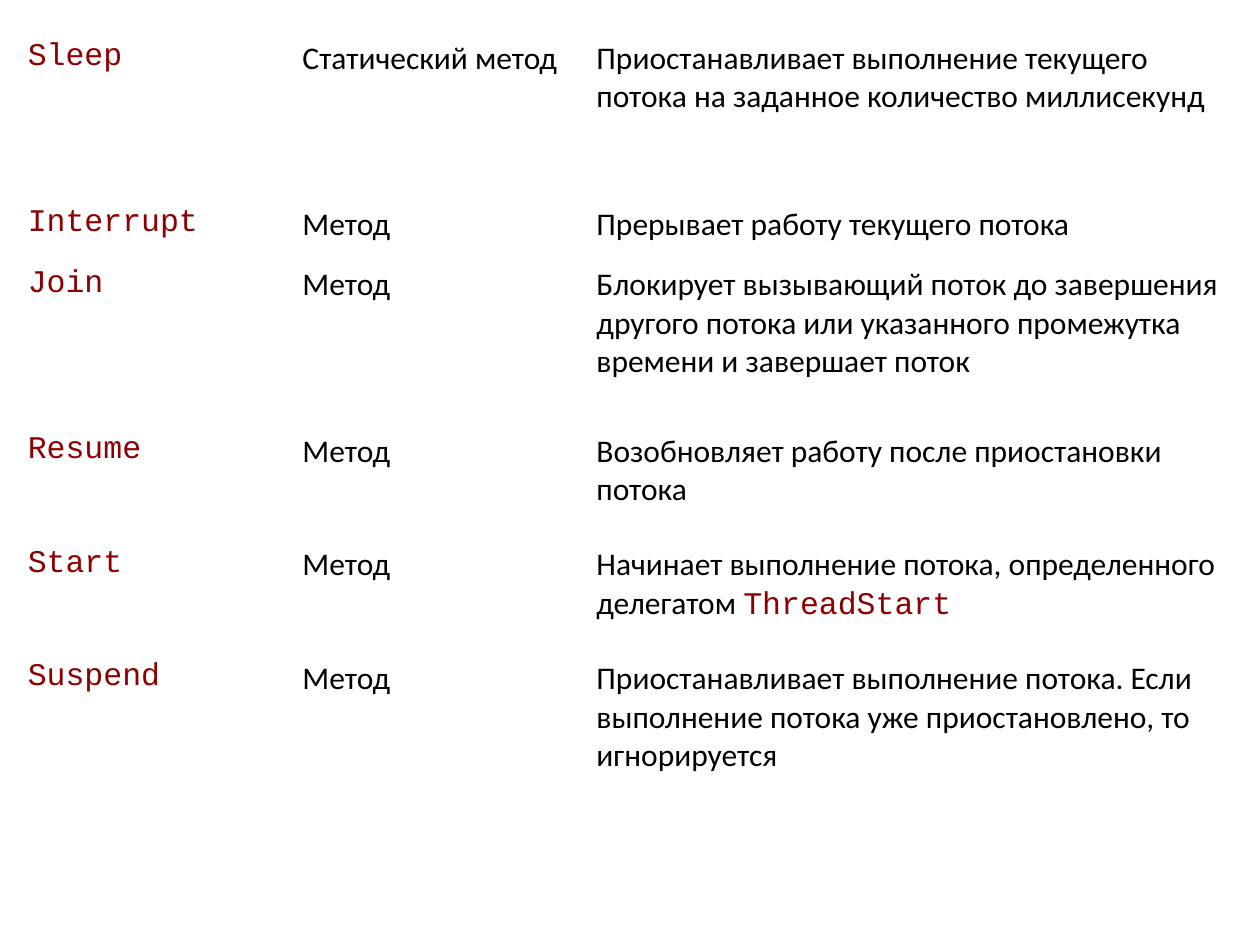
from pptx import Presentation
from pptx import util as u
from pptx.dml.color import RGBColor

Pt = u.Pt
RED = RGBColor(0x8B, 0x00, 0x00)
BLACK = RGBColor(0x00, 0x00, 0x00)
WHITE = RGBColor(0xFF, 0xFF, 0xFF)
CODE = ("Courier New", RED)
BODY = ("Calibri", BLACK)

WIDTHS = [157, 168, 361]
TALL, MID, LOW = 95, 65, 34.5
# Row height, member name, kind, description, code at the end of the description
ROWS = [
    (TALL, "Sleep", "Статический метод",
     "Приостанавливает выполнение текущего потока на заданное количество миллисекунд", ""),
    (LOW, "Interrupt", "Метод", "Прерывает работу текущего потока", ""),
    (TALL, "Join", "Метод",
     "Блокирует вызывающий поток до завершения другого потока "
     "или указанного промежутка времени и завершает поток", ""),
    (MID, "Resume", "Метод", "Возобновляет работу после приостановки потока", ""),
    (MID, "Start", "Метод",
     "Начинает выполнение потока, определенного делегатом ", "ThreadStart"),
    (TALL, "Suspend", "Метод",
     "Приостанавливает выполнение потока. "
     "Если выполнение потока уже приостановлено, то игнорируется", ""),
]


class Deck:
    size = Pt(18)
    pad = Pt(1.5)

    def __init__(self, wide, high):
        self.prs = Presentation()
        self.prs.slide_width, self.prs.slide_height = Pt(wide), Pt(high)
        self.slide = self.prs.slides.add_slide(self.prs.slide_layouts[6])

    def style(self, font, look):
        font.name, font.color.rgb = look
        font.size = self.size

    def cell(self, cell, parts):
        """Fill a cell with (text, look) parts."""
        cell.fill.solid()
        cell.fill.fore_color.rgb = WHITE
        cell.margin_left = cell.margin_right = self.pad
        cell.margin_top = cell.margin_bottom = self.pad
        para = cell.text_frame.paragraphs[0]
        for words, look in parts:
            run = para.add_run()
            run.text = words
            if len(parts) > 1:
                self.style(run.font, look)
        if len(parts) == 1:
            self.style(para.font, parts[0][1])

    def table(self, left, top, widths, rows):
        high = sum(row[0] for row in rows)
        grid = self.slide.shapes.add_table(
            len(rows), len(widths), Pt(left), Pt(top), Pt(sum(widths)), Pt(high)).table
        grid.first_row = grid.horz_banding = False
        for col, wide in zip(grid.columns, widths):
            col.width = Pt(wide)
        for line, (high, name, kind, about, code) in zip(grid.rows, rows):
            line.height = Pt(high)
            tail = [(code, CODE)] if code else []
            parts = [[(name, CODE)], [(kind, BODY)], [(about, BODY)] + tail]
            for cell, part in zip(line.cells, parts):
                self.cell(cell, part)


def main():
    deck = Deck(720, 540)
    deck.table(14.4, 21, WIDTHS, ROWS)
    deck.prs.save("out.pptx")


if __name__ == "__main__":
    main()
